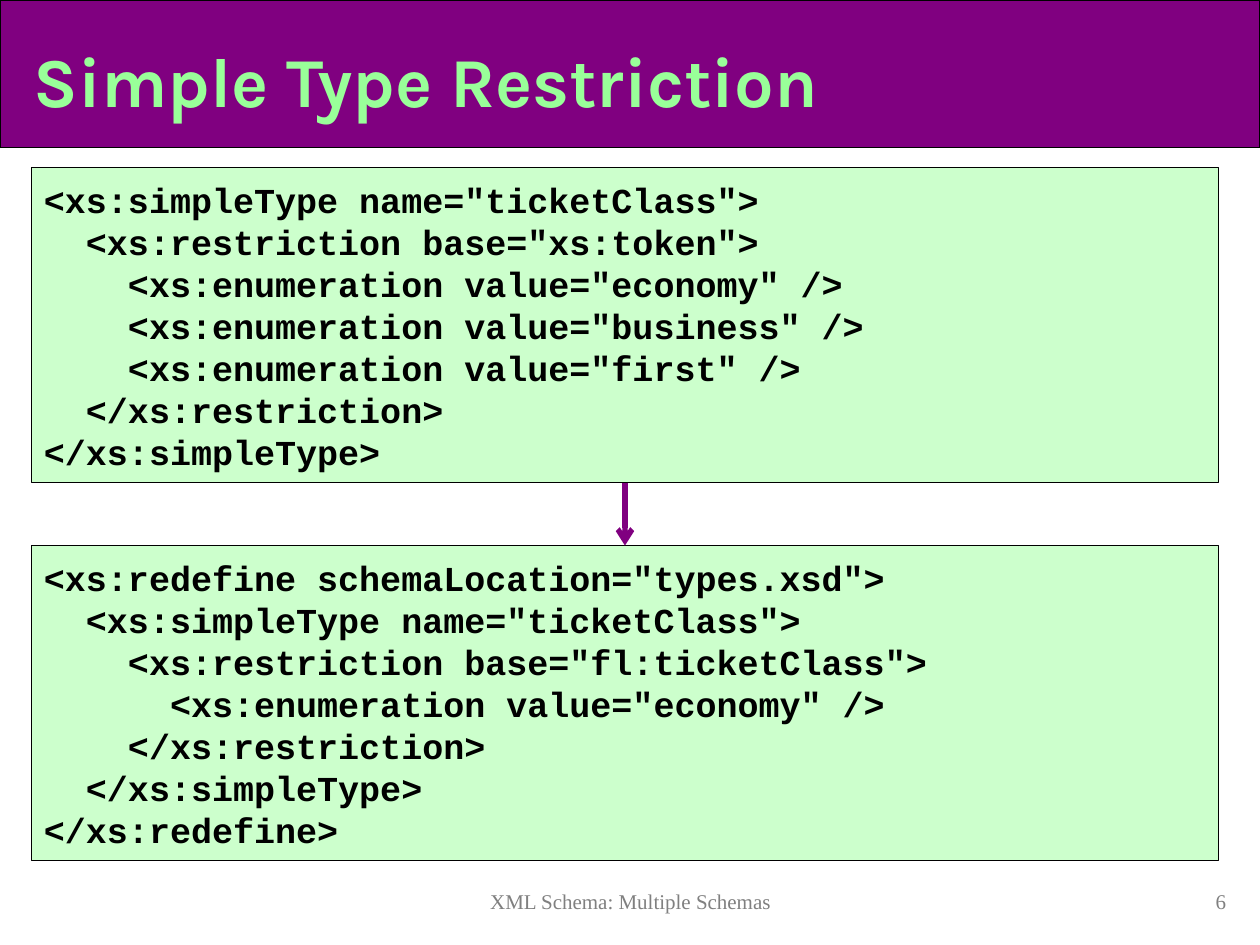
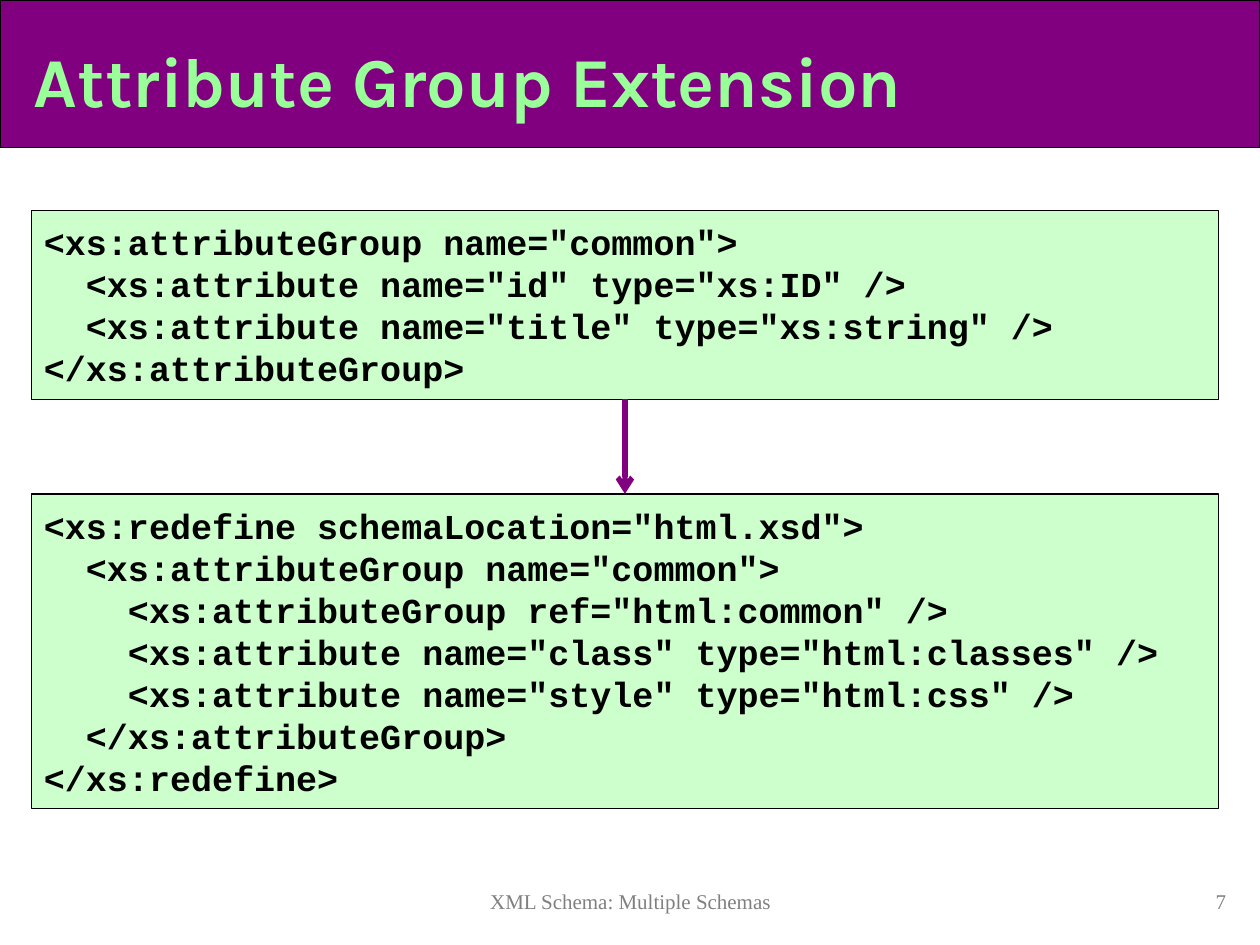
from lxml import etree
from pptx import Presentation
from pptx.dml.color import RGBColor
from pptx.enum import shapes, text
from pptx.oxml import ns
from pptx.util import Inches, Pt

PURPLE = RGBColor(0x80, 0x00, 0x80)
TITLE_GREEN = RGBColor(0x99, 0xFF, 0x99)
CODE_GREEN = RGBColor(0xCC, 0xFF, 0xCC)
BLACK = RGBColor(0x00, 0x00, 0x00)
GREY = RGBColor(0x80, 0x80, 0x80)

FOOTER = "XML Schema: Multiple Schemas"
BOX_LEFT, BOX_WIDTH = 0.25, 9.42
ARROW_X = BOX_LEFT + BOX_WIDTH / 2

# Each slide: number, title, then the top and code of its two boxes.
SLIDES = [
    (6, "Simple Type Restriction", [
        (1.33, """\
<xs:simpleType name="ticketClass">
  <xs:restriction base="xs:token">
    <xs:enumeration value="economy" />
    <xs:enumeration value="business" />
    <xs:enumeration value="first" />
  </xs:restriction>
</xs:simpleType>"""),
        (4.33, """\
<xs:redefine schemaLocation="types.xsd">
  <xs:simpleType name="ticketClass">
    <xs:restriction base="fl:ticketClass">
      <xs:enumeration value="economy" />
    </xs:restriction>
  </xs:simpleType>
</xs:redefine>"""),
    ]),
    (7, "Attribute Group Extension", [
        (1.67, """\
<xs:attributeGroup name="common">
  <xs:attribute name="id" type="xs:ID" />
  <xs:attribute name="title" type="xs:string" />
</xs:attributeGroup>"""),
        (3.92, """\
<xs:redefine schemaLocation="html.xsd">
  <xs:attributeGroup name="common">
    <xs:attributeGroup ref="html:common" />
    <xs:attribute name="class" type="html:classes" />
    <xs:attribute name="style" type="html:css" />
  </xs:attributeGroup>
</xs:redefine>"""),
    ]),
]


def add_box(slide, left, top, width, height, fill):
    """Add a filled rectangle with a thin black outline."""
    box = slide.shapes.add_shape(
        shapes.MSO_SHAPE.RECTANGLE,
        Inches(left), Inches(top), Inches(width), Inches(height))
    box.shadow.inherit = False
    box.fill.solid()
    box.fill.fore_color.rgb = fill
    box.line.color.rgb = BLACK
    box.line.width = Pt(0.75)
    return box


def write(shape, content, font_name, size, color, bold=False,
          align=text.PP_ALIGN.LEFT, anchor=text.MSO_ANCHOR.MIDDLE, spacing=None):
    """Fill a shape with one paragraph per line of content."""
    frame = shape.text_frame
    frame.word_wrap = True
    frame.vertical_anchor = anchor
    frame.text = content
    for paragraph in frame.paragraphs:
        paragraph.alignment = align
        paragraph.line_spacing = spacing
        paragraph.font.name = font_name
        paragraph.font.size = Pt(size)
        paragraph.font.bold = bold
        paragraph.font.color.rgb = color


presentation = Presentation()
presentation.slide_width = Inches(10)
presentation.slide_height = Inches(7.5)

for number, title, code_boxes in SLIDES:
    slide = presentation.slides.add_slide(presentation.slide_layouts[6])

    add_box(slide, 0, 0, 10, 1.17, PURPLE)
    title_box = slide.shapes.add_textbox(
        Inches(0.17), Inches(0.17), Inches(9.58), Inches(0.92))
    write(title_box, title, "Karla", 40, TITLE_GREEN, bold=True)

    edges = []
    for top, code in code_boxes:
        height = (code.count("\n") + 1) / 3 + 1 / 6
        box = add_box(slide, BOX_LEFT, top, BOX_WIDTH, height, CODE_GREEN)
        write(box, code, "Courier New", 20, BLACK, bold=True, spacing=Pt(24))
        edges += [top, top + height]

    arrow = slide.shapes.add_connector(
        shapes.MSO_CONNECTOR.STRAIGHT,
        Inches(ARROW_X), Inches(edges[1]), Inches(ARROW_X), Inches(edges[2]))
    arrow.line.color.rgb = PURPLE
    arrow.line.width = Pt(3)
    etree.SubElement(arrow.line._get_or_add_ln(), ns.qn("a:tailEnd"), type="arrow")
    etree.SubElement(arrow._element.spPr, ns.qn("a:effectLst"))

    for left, width, content, align in [
        (2.42, 5.17, FOOTER, text.PP_ALIGN.CENTER),
        (7.75, 2.08, str(number), text.PP_ALIGN.RIGHT),
    ]:
        footer_box = slide.shapes.add_textbox(
            Inches(left), Inches(7), Inches(width), Inches(0.33))
        write(footer_box, content, "Times New Roman", 12, GREY,
              align=align, anchor=text.MSO_ANCHOR.TOP)

presentation.save("out.pptx")
